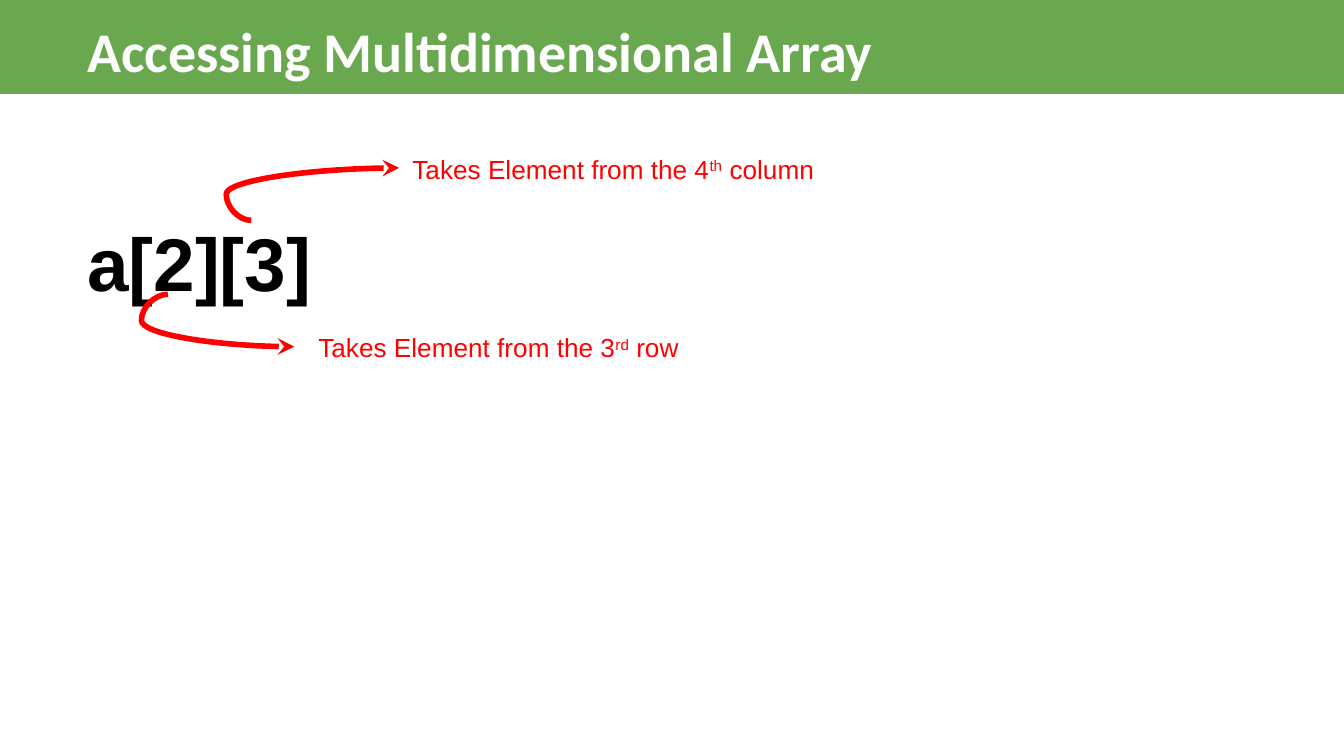
import pptx
import pptx.util
import pptx.dml.color
import pptx.enum.dml
import pptx.enum.shapes
import pptx.enum.text
import pptx.oxml
import pptx.oxml.ns
import lxml.etree

WIDTH = pptx.util.Inches(10)
HEIGHT = pptx.util.Inches(5.625)
COLORS = {"band": "6AA84F", "title": "FFFFFF", "code": "000000", "note": "FF0000"}


def color(name):
    return pptx.dml.color.RGBColor.from_string(COLORS[name])


def across(percent):
    return round(WIDTH * percent / 100)


def down(percent):
    return round(HEIGHT * percent / 100)


def frame(left, top, width, height):
    """Turn percentages of the slide into a position and a size."""
    return across(left), down(top), across(width), down(height)


def add_child(parent, tag, **attributes):
    child = lxml.etree.SubElement(parent, pptx.oxml.ns.qn(tag))
    for key, value in attributes.items():
        child.set(key, value)
    return child


def write(para, text, *, size, ink, font="Arial", bold=False, raised=False):
    """Add one formatted span to a paragraph."""
    span = para.add_run()
    span.text = text
    span.font.name = font
    span.font.size = pptx.util.Pt(size)
    span.font.bold = bold
    span.font.color.rgb = color(ink)
    if raised:
        span.font._element.set("baseline", "30000")


def prepare(box, margin):
    """Set up the text frame and return its first paragraph."""
    text = box.text_frame
    text.word_wrap = True
    text.auto_size = pptx.enum.text.MSO_AUTO_SIZE.NONE
    text.vertical_anchor = pptx.enum.text.MSO_ANCHOR.TOP
    text.margin_left = text.margin_right = pptx.util.Inches(0.1)
    text.margin_top = text.margin_bottom = pptx.util.Inches(margin)
    para = text.paragraphs[0]
    para.alignment = pptx.enum.text.PP_ALIGN.LEFT
    para.space_before = pptx.util.Pt(0)
    return para


def fill_placeholder(box, area, text, *, spacing=1, **style):
    box.left, box.top, box.width, box.height = frame(*area)
    para = prepare(box, 0.1)
    para.line_spacing = spacing
    properties = para._p.get_or_add_pPr()
    properties.set("marL", "0")
    properties.set("indent", "0")
    add_child(properties, "a:buNone")
    write(para, text, **style)


def add_band(page):
    band = page.shapes.add_shape(
        pptx.enum.shapes.MSO_SHAPE.RECTANGLE, *frame(0, 0, 100, 12.44))
    band.shadow.inherit = False
    band.fill.solid()
    band.fill.fore_color.rgb = color("band")
    band.line.fill.background()
    page.shapes._spTree.insert(2, band._element)  # behind the title


def add_curve(page, start, end, bend):
    """Draw a curved arrow; bend is the share of its width where it turns."""
    curve = page.shapes.add_connector(
        pptx.enum.shapes.MSO_CONNECTOR.CURVE,
        across(start[0]), down(start[1]), across(end[0]), down(end[1]))
    curve.line.color.rgb = color("note")
    curve.line.width = pptx.util.Pt(3)
    add_child(curve.line._get_or_add_ln(), "a:tailEnd", type="stealth")
    properties = curve._element.spPr
    add_child(properties, "a:effectLst")
    guides = properties.find(".//" + pptx.oxml.ns.qn("a:avLst"))
    add_child(guides, "a:gd", name="adj1", fmla=f"val {round(bend * 100000)}")


def add_note(page, area, number, ordinal, target):
    box = page.shapes.add_textbox(*frame(*area))
    para = prepare(box, 0.05)
    style = {"size": 14, "ink": "note"}
    write(para, f"Takes Element from the {number}", **style)
    write(para, ordinal, raised=True, **style)
    write(para, f" {target}", **style)


def main():
    deck = pptx.Presentation()
    deck.slide_width, deck.slide_height = WIDTH, HEIGHT
    page = deck.slides.add_slide(deck.slide_layouts[1])

    add_band(page)
    fill_placeholder(page.shapes.title, (5.5, 0.36, 71.8, 16),
                     "Accessing Multidimensional Array",
                     size=30, ink="title", font="Calibri", bold=True)
    fill_placeholder(page.placeholders[1], (5.5, 25.07, 87.6, 50), "a[2][3]",
                     spacing=1.15, size=40, ink="code", bold=True)

    add_curve(page, (12.5, 38.93), (21.9, 45.87), -0.21)
    add_note(page, (22.7, 43.02, 43.8, 7.11), 3, "rd", "row")
    add_curve(page, (18.7, 29.16), (29.7, 22.22), -0.17)
    add_note(page, (29.7, 19.38, 49.2, 7.11), 4, "th", "column")

    deck.save("out.pptx")


if __name__ == "__main__":
    main()
